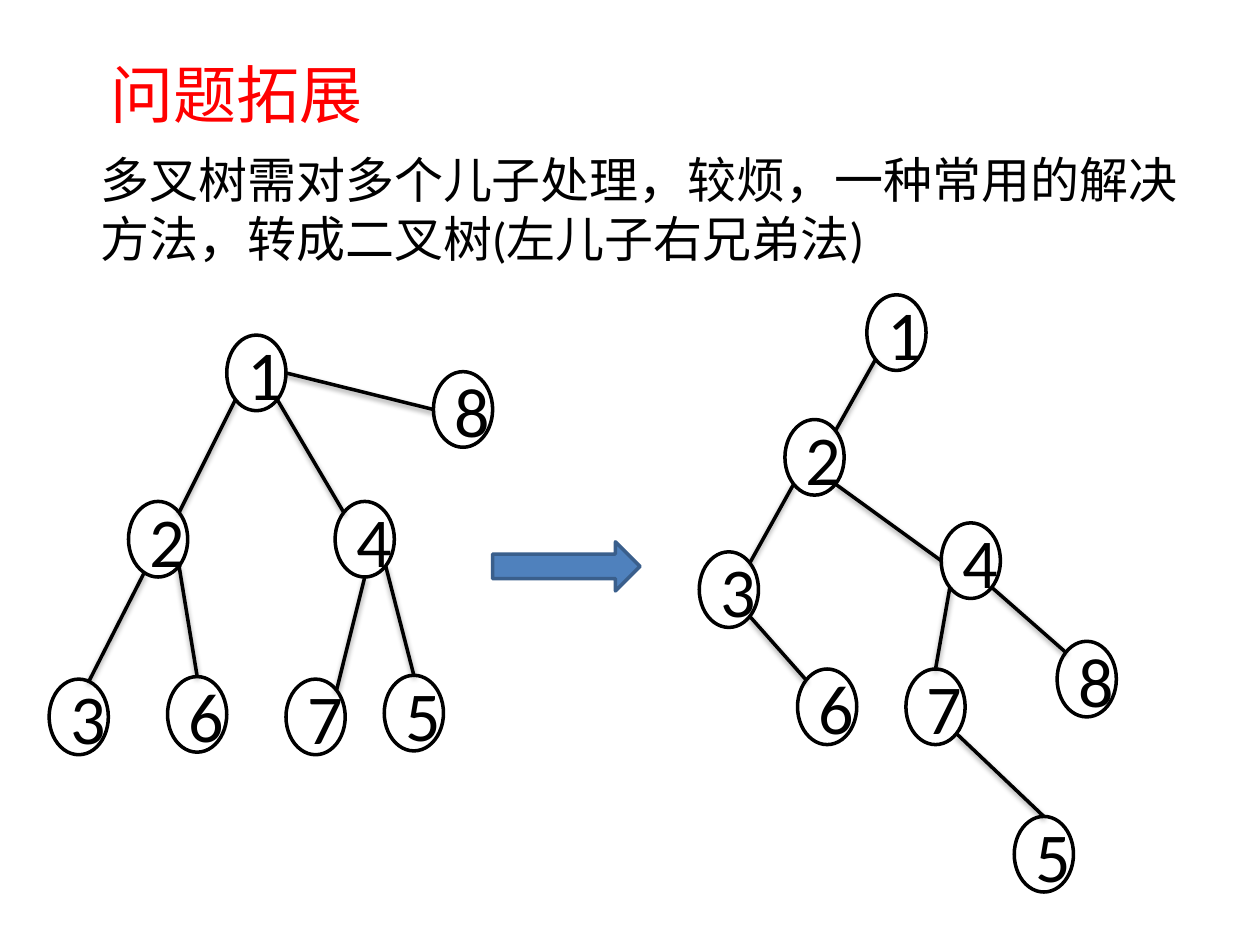
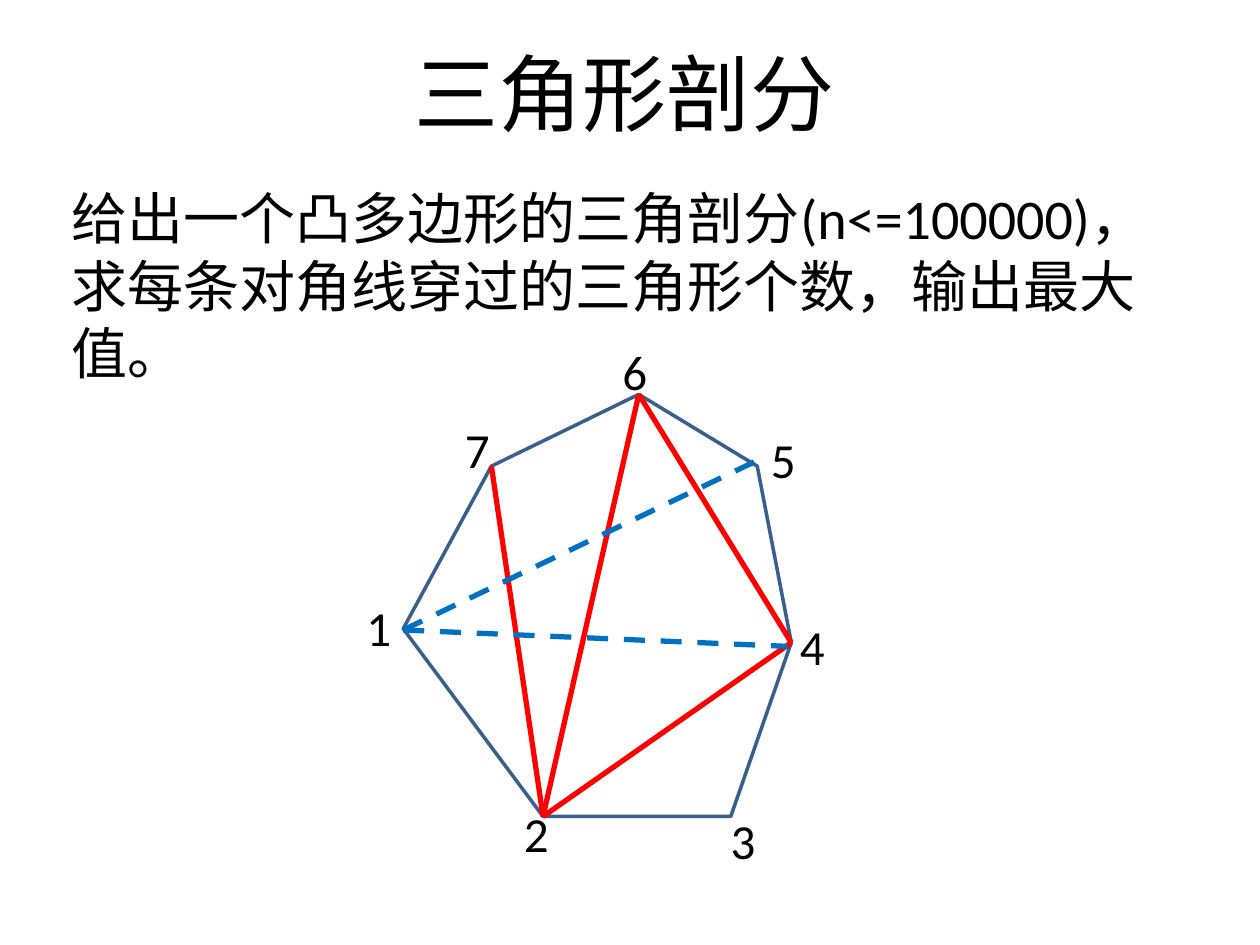
"""Builds two slides on trees and on cutting a polygon into triangles."""
from dataclasses import dataclass
from math import cos, radians, sin
from typing import NamedTuple

from lxml import etree
from pptx import Presentation
from pptx import util as u
from pptx.dml import color as c
from pptx.enum import dml, shapes, text
from pptx.oxml import ns


@dataclass(frozen=True)
class Theme:
    font: str = "Calibri"
    black: str = "000000"
    red: str = "FF0000"
    fill: str = "4F81BD"
    edge: str = "3A5F8C"
    dash: str = "0070C0"
    head: int = 48
    topic: int = 36
    body: int = 32
    small: int = 28
    node: int = 40
    thin: int = 2
    thick: int = 3


THEME = Theme()
NODE_W, NODE_H = 0.47, 0.6
TAG_W, TAG_H = 0.62, 0.57


class Point(NamedTuple):
    x: float
    y: float

    def sizes(self) -> list:
        return [u.Inches(side) for side in self]


class Box(NamedTuple):
    x: float
    y: float
    w: float
    h: float

    def sizes(self) -> list:
        return [u.Inches(side) for side in self]


class Edge(NamedTuple):
    start: int
    end: int
    leave: int
    enter: int


class Label(NamedTuple):
    words: str
    box: Box
    size: int
    tint: str = THEME.black
    align: text.PP_ALIGN = text.PP_ALIGN.LEFT


class Tree(NamedTuple):
    nodes: dict[int, Point]
    edges: list[Edge]


WIDE_TREE = Tree(
    {1: Point(1.8, 2.66), 2: Point(1.02, 3.98), 4: Point(2.66, 3.98), 3: Point(0.39, 5.39),
     5: Point(3.05, 5.36), 6: Point(1.33, 5.37), 7: Point(2.27, 5.39), 8: Point(3.44, 2.95)},
    [Edge(1, 2, 135, -45), Edge(2, 3, 118, -70), Edge(1, 4, 45, -135), Edge(4, 5, 45, -90),
     Edge(2, 6, 45, -90), Edge(4, 7, 90, -45), Edge(1, 8, 0, 180)])
BINARY_TREE = Tree(
    {1: Point(6.88, 2.34), 2: Point(6.23, 3.33), 4: Point(7.47, 4.15), 3: Point(5.55, 4.38),
     5: Point(8.05, 6.48), 6: Point(6.33, 5.31), 7: Point(7.19, 5.31), 8: Point(8.39, 5.09)},
    [Edge(1, 2, 135, -45), Edge(2, 3, 135, -45), Edge(2, 4, 45, 180), Edge(7, 5, 45, -90),
     Edge(3, 6, 45, -135), Edge(4, 7, 135, -90), Edge(4, 8, 45, -135)])

CORNERS = {1: Point(3.2, 4.99), 2: Point(4.31, 6.48), 3: Point(5.8, 6.48), 4: Point(6.28, 5.1),
           5: Point(6.01, 3.7), 6: Point(5.07, 3.13), 7: Point(3.9, 3.7)}
TAGS = {1: Point(2.81, 4.69), 2: Point(4.06, 6.33), 3: Point(5.7, 6.38), 4: Point(6.25, 4.84),
        5: Point(6.02, 3.36), 6: Point(4.84, 2.66), 7: Point(3.59, 3.28)}
CUTS = [(7, 2), (2, 4), (6, 2), (6, 4)]
PATHS = [Point(6.25, 5.13), Point(6.02, 3.65)]


def apply(target, values: dict) -> None:
    """Set each named value on the target."""
    for name, value in values.items():
        setattr(target, name, value)


def style_text(shape, size: int, tint: str, align: text.PP_ALIGN) -> None:
    """Set the font and alignment of a shape's one paragraph."""
    para = shape.text_frame.paragraphs[0]
    para.alignment = align
    apply(para.runs[0].font, {"name": THEME.font, "size": u.Pt(size)})
    para.runs[0].font.color.rgb = c.RGBColor.from_string(tint)


def style_line(shape, tint: str, width: int) -> None:
    """Set the colour and width of an outline."""
    shape.line.color.rgb = c.RGBColor.from_string(tint)
    shape.line.width = u.Pt(width)


def add_label(pen, label: Label) -> None:
    """Add a text box that grows with its words."""
    shape = pen.add_textbox(*label.box.sizes())
    shape.text_frame.text = label.words
    apply(shape.text_frame, {"word_wrap": True,
                             "auto_size": text.MSO_AUTO_SIZE.SHAPE_TO_FIT_TEXT})
    style_text(shape, label.size, label.tint, label.align)


def add_line(pen, start: Point, end: Point, tint: str, width: int, shade: bool = False):
    """Add a straight line, with a soft shadow if asked."""
    line = pen.add_connector(shapes.MSO_CONNECTOR.STRAIGHT, *start.sizes(), *end.sizes())
    style_line(line, tint, width)
    effects = etree.SubElement(line._element.spPr, ns.qn("a:effectLst"))
    if shade:
        outer = etree.SubElement(effects, ns.qn("a:outerShdw"), blurRad="40000", dist="20000",
                                 dir="5400000", rotWithShape="0")
        ink = etree.SubElement(outer, ns.qn("a:srgbClr"), val=THEME.black)
        etree.SubElement(ink, ns.qn("a:alpha"), val="38000")
    return line


def add_node(pen, number: int, place: Point) -> None:
    """Add one numbered oval."""
    oval = pen.add_shape(shapes.MSO_SHAPE.OVAL, *Box(*place, NODE_W, NODE_H).sizes())
    oval.shadow.inherit = False
    oval.fill.background()
    style_line(oval, THEME.black, THEME.thin)
    oval.text_frame.text = str(number)
    style_text(oval, THEME.node, THEME.black, text.PP_ALIGN.CENTER)


def find_rim(place: Point, angle: int) -> Point:
    """Return the point on a node's rim at an angle, clockwise from the right."""
    turn = radians(angle)
    return Point(place.x + NODE_W / 2 * (1 + cos(turn)), place.y + NODE_H / 2 * (1 + sin(turn)))


def add_tree(slide, tree: Tree) -> None:
    """Add a group of nodes and the edges that join them."""
    pen = slide.shapes.add_group_shape().shapes
    for number, place in tree.nodes.items():
        add_node(pen, number, place)
    for edge in tree.edges:
        add_line(pen, find_rim(tree.nodes[edge.start], edge.leave),
                 find_rim(tree.nodes[edge.end], edge.enter), THEME.black, THEME.thin, shade=True)


def add_arrow(slide, box: Box) -> None:
    """Add the block arrow between the trees."""
    arrow = slide.shapes.add_shape(shapes.MSO_SHAPE.RIGHT_ARROW, *box.sizes())
    arrow.shadow.inherit = False
    arrow.fill.solid()
    arrow.fill.fore_color.rgb = c.RGBColor.from_string(THEME.fill)
    style_line(arrow, THEME.edge, THEME.thin)


def add_polygon(slide) -> None:
    """Add the polygon, its cuts and its corner numbers as a group."""
    pen = slide.shapes.add_group_shape().shapes
    first, *rest = [corner.sizes() for corner in CORNERS.values()]
    outline = pen.build_freeform(*first)
    outline.add_line_segments(rest, close=True)
    shape = outline.convert_to_shape()
    shape.shadow.inherit = False
    shape.fill.background()
    style_line(shape, THEME.edge, THEME.thin)
    for start, end in CUTS:
        add_line(pen, CORNERS[start], CORNERS[end], THEME.red, THEME.thick)
    for number, place in TAGS.items():
        add_label(pen, Label(str(number), Box(*place, TAG_W, TAG_H), THEME.small))


def draw_trees(slide) -> None:
    """Draw the slide that turns a wide tree into a binary one."""
    add_tree(slide, WIDE_TREE)
    add_tree(slide, BINARY_TREE)
    add_arrow(slide, Box(3.91, 4.3, 1.17, 0.39))
    add_label(slide.shapes, Label(
        "多叉树需对多个儿子处理，较烦，一种常用的解决方法，转成二叉树(左儿子右兄弟法)",
        Box(0.7, 1.14, 8.83, 1.04), THEME.small))
    add_label(slide.shapes, Label("问题拓展", Box(0.78, 0.39, 4.69, 0.71),
                                  THEME.topic, THEME.red))


def draw_cuts(slide) -> None:
    """Draw the slide on the triangles of a polygon."""
    add_label(slide.shapes, Label(
        "给出一个凸多边形的三角剖分(n<=100000)，求每条对角线穿过的三角形个数，输出最大值。",
        Box(0.47, 1.41, 9.06, 1.72), THEME.body))
    add_label(slide.shapes, Label("三角形剖分", Box(2.64, 0.28, 4.64, 0.9), THEME.head,
                                  align=text.PP_ALIGN.CENTER))
    add_polygon(slide)
    for end in PATHS:
        line = add_line(slide.shapes, Point(3.2, 5), end, THEME.dash, THEME.thick)
        line.line.dash_style = dml.MSO_LINE.DASH


def main() -> None:
    """Build and save the slides."""
    deck = Presentation()
    apply(deck, {"slide_width": u.Inches(10), "slide_height": u.Inches(7.5)})
    for draw in (draw_trees, draw_cuts):
        draw(deck.slides.add_slide(deck.slide_layouts[6]))
    deck.save("out.pptx")


if __name__ == "__main__":
    main()
